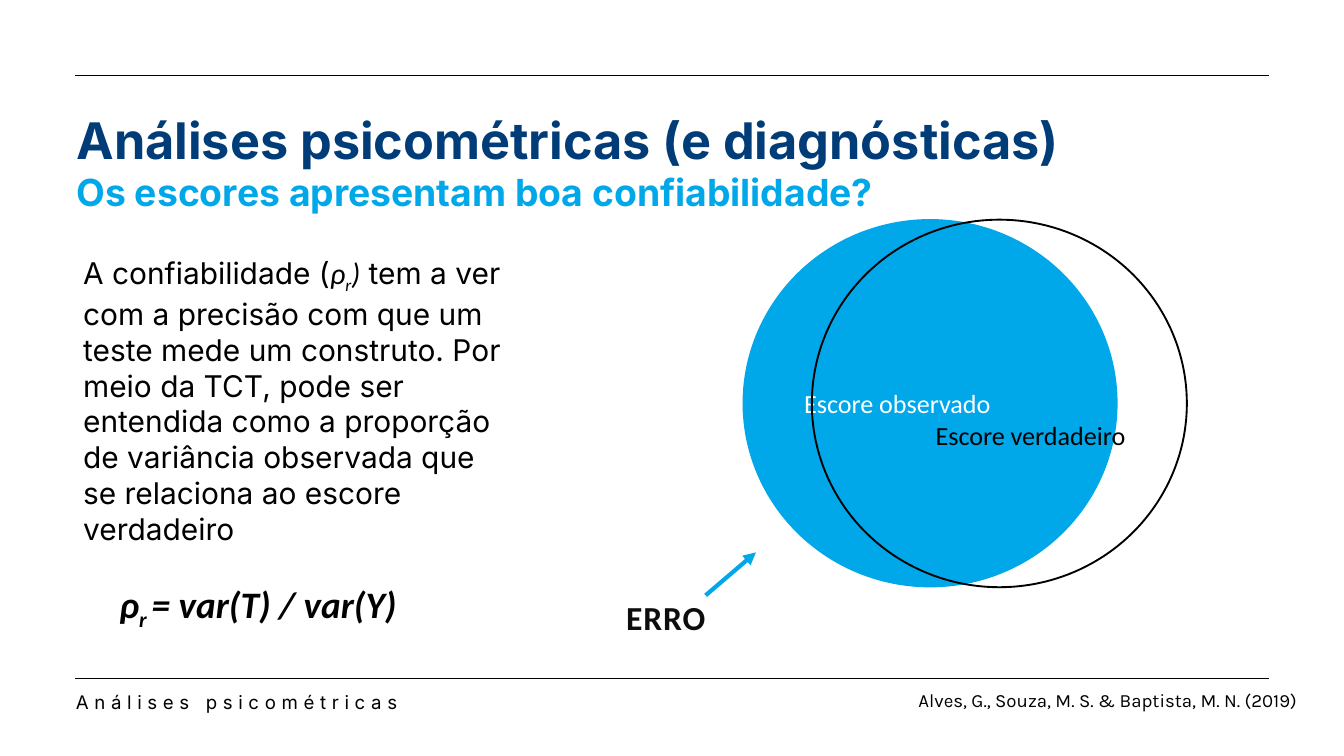
import lxml.etree
import pptx
import pptx.dml.color
import pptx.enum.shapes
import pptx.enum.text
import pptx.oxml.ns
import pptx.util

Pt = pptx.util.Pt
ALIGN = pptx.enum.text.PP_ALIGN
ANCHOR = pptx.enum.text.MSO_ANCHOR
AUTO_SIZE = pptx.enum.text.MSO_AUTO_SIZE
SHAPE = pptx.enum.shapes.MSO_SHAPE
NAVY, BLUE, BLACK, WHITE = "003C78", "00A8E9", "000000", "FFFFFF"


def set_color(color_format, hex_color):
    color_format.rgb = pptx.dml.color.RGBColor.from_string(hex_color)


def fill_text(shape, paragraphs, frame_format, paragraph_format):
    frame = shape.text_frame
    frame.word_wrap = True
    for name, value in frame_format.items():
        setattr(frame, name, value)
    for index, runs in enumerate(paragraphs):
        paragraph = frame.add_paragraph() if index else frame.paragraphs[0]
        for name, value in ({"alignment": ALIGN.LEFT} | paragraph_format).items():
            setattr(paragraph, name, value)
        for text, color, font_format, run_attributes in runs:
            run = paragraph.add_run()
            run.text = text
            for name, value in font_format.items():
                setattr(run.font, name, value)
            set_color(run.font.color, color)
            for name, value in run_attributes.items():
                run.font._element.set(name, value)


presentation = pptx.Presentation()
presentation.slide_width = Pt(1440)
presentation.slide_height = Pt(810)
slide = presentation.slides.add_slide(presentation.slide_layouts[5])

no_margins = dict.fromkeys(["margin_left", "margin_top", "margin_right", "margin_bottom"], 0)
small_margins = dict.fromkeys(no_margins, Pt(3.6))
grow = {"auto_size": AUTO_SIZE.SHAPE_TO_FIT_TEXT}
subscript = {"baseline": "-25000"}

title = slide.shapes.title
title_format = {"left": Pt(82), "top": Pt(116.6), "width": Pt(1219.7), "height": Pt(184.3)}
for name, value in title_format.items():
    setattr(title, name, value)
heading = {"name": "Inter", "bold": True}
fill_text(
    title,
    [
        [("Análises psicométricas (e diagnósticas)", NAVY, heading | {"size": Pt(54)}, {})],
        [("Os escores apresentam boa confiabilidade?", BLUE, heading | {"size": Pt(40)}, {})],
    ],
    no_margins | grow | {"vertical_anchor": ANCHOR.TOP},
    {},
)

body = {"name": "Inter", "size": Pt(32)}
symbol = {"name": "Calibri", "size": Pt(32), "italic": True}
formula = {"name": "Calibri", "size": Pt(40), "bold": True, "italic": True}
definition = (
    " tem a ver com a precisão com que um teste mede um construto. "
    "Por meio da TCT, pode ser entendida como a proporção de variância "
    "observada que se relaciona ao escore verdadeiro"
)
text_boxes = [
    (
        (82, 269.3, 465.1, 322.6),
        [
            ("A confiabilidade (", BLACK, body, {}),
            ("ρ", BLACK, symbol, {}),
            ("r", BLACK, symbol, subscript),
            (")", BLACK, symbol, {}),
            (definition, BLACK, body, {}),
        ],
        {},
        {},
    ),
    (
        (81.4, 736.6, 915.1, 25.9),
        [("Análises psicométricas", BLACK, {"name": "Inter", "size": Pt(20)}, {"spc": "600"})],
        no_margins | grow,
        {"line_spacing": Pt(28)},
    ),
    (
        (663.8, 637.9, 173.5, 55.4),
        [("ERRO", "0D0D0D", {"name": "Calibri", "size": Pt(36), "bold": True}, {"spc": "100"})],
        {"vertical_anchor": ANCHOR.MIDDLE},
        {"line_spacing": 0.8},
    ),
    (
        (977, 734.4, 590.4, 31.7),
        [
            (
                "Alves, G., Souza, M. S. & Baptista, M. N. (2019)",
                BLACK,
                {"name": "Karla", "size": Pt(20)},
                {},
            )
        ],
        grow,
        {},
    ),
    (
        (100.8, 619.9, 351.4, 79.2),
        [
            ("ρ", BLACK, formula, {}),
            ("r ", BLACK, formula, subscript),
            ("= var(T) / var(Y)", BLACK, formula, {}),
        ],
        small_margins,
        {"alignment": ALIGN.CENTER, "line_spacing": 0.9, "space_after": Pt(2)},
    ),
]
for position, runs, frame_format, paragraph_format in text_boxes:
    text_box = slide.shapes.add_textbox(*map(Pt, position))
    fill_text(text_box, [runs], frame_format, paragraph_format)

circles = [
    ((795.6, 234.7, 401.8, 394.6), "Escore observado", BLUE, None, WHITE, ALIGN.LEFT, 3.6),
    ((869.8, 235.4, 401.8, 393.8), "Escore verdadeiro", None, BLACK, BLACK, ALIGN.RIGHT, 72),
]
for position, label, fill, line, text_color, alignment, margin_top in circles:
    circle = slide.shapes.add_shape(SHAPE.OVAL, *map(Pt, position))
    circle.shadow.inherit = False
    if fill:
        circle.fill.solid()
        set_color(circle.fill.fore_color, fill)
    else:
        circle.fill.background()
    if line:
        set_color(circle.line.color, line)
        circle.line.width = Pt(2)
    else:
        circle.line.fill.background()
    fill_text(
        circle,
        [[(label, text_color, {"name": "Calibri", "size": Pt(28)}, {})]],
        {"vertical_anchor": ANCHOR.MIDDLE, "margin_top": Pt(margin_top)},
        {"alignment": alignment},
    )

lines = [
    ((80.6, 80.6, 1359.4, 80.6), BLACK, 1.5, False),
    ((80.6, 727.2, 1359.4, 727.2), BLACK, 1.5, False),
    ((756, 637.9, 810, 591.8), BLUE, 4.5, True),
]
for ends, color, width, has_arrowhead in lines:
    connector = slide.shapes.add_connector(
        pptx.enum.shapes.MSO_CONNECTOR.STRAIGHT, *map(Pt, ends)
    )
    set_color(connector.line.color, color)
    connector.line.width = Pt(width)
    properties = connector._element.spPr
    lxml.etree.SubElement(properties, pptx.oxml.ns.qn("a:effectLst"))
    if has_arrowhead:
        outline = properties.find(pptx.oxml.ns.qn("a:ln"))
        lxml.etree.SubElement(outline, pptx.oxml.ns.qn("a:tailEnd"), type="triangle")

presentation.save("out.pptx")
